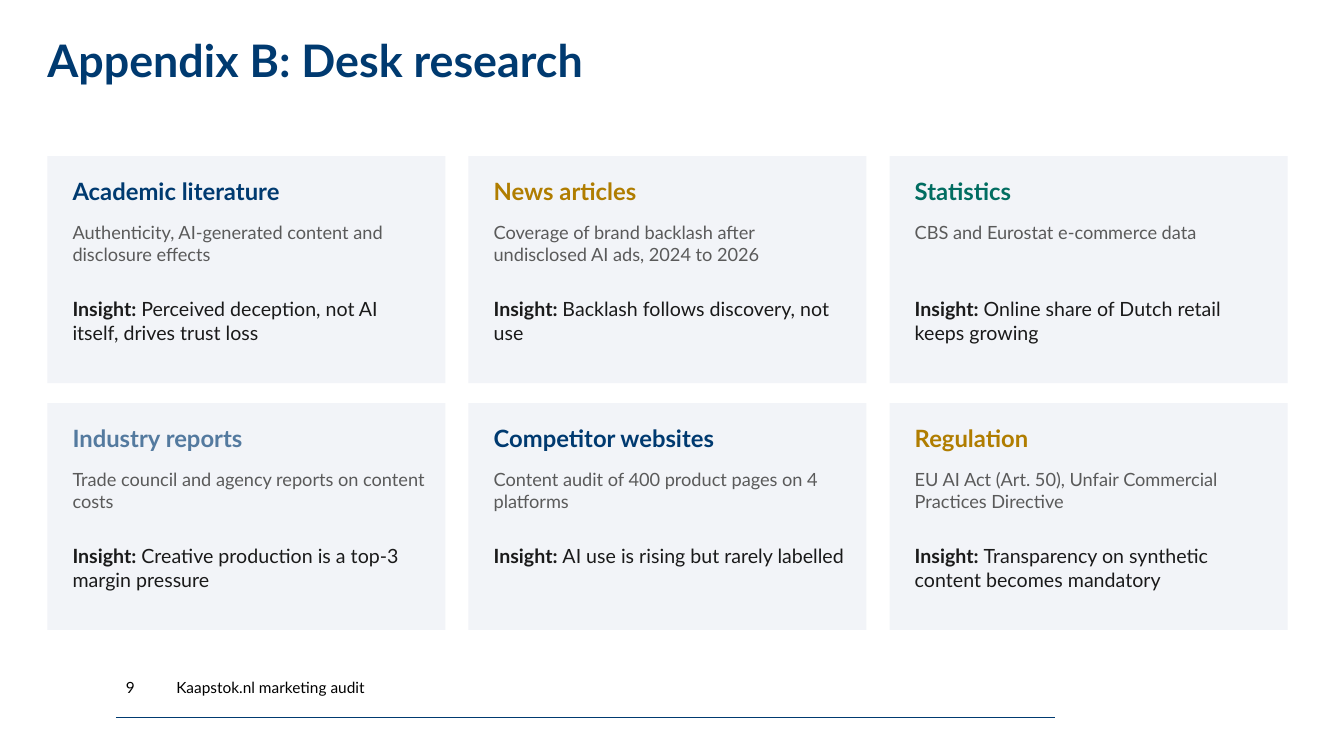
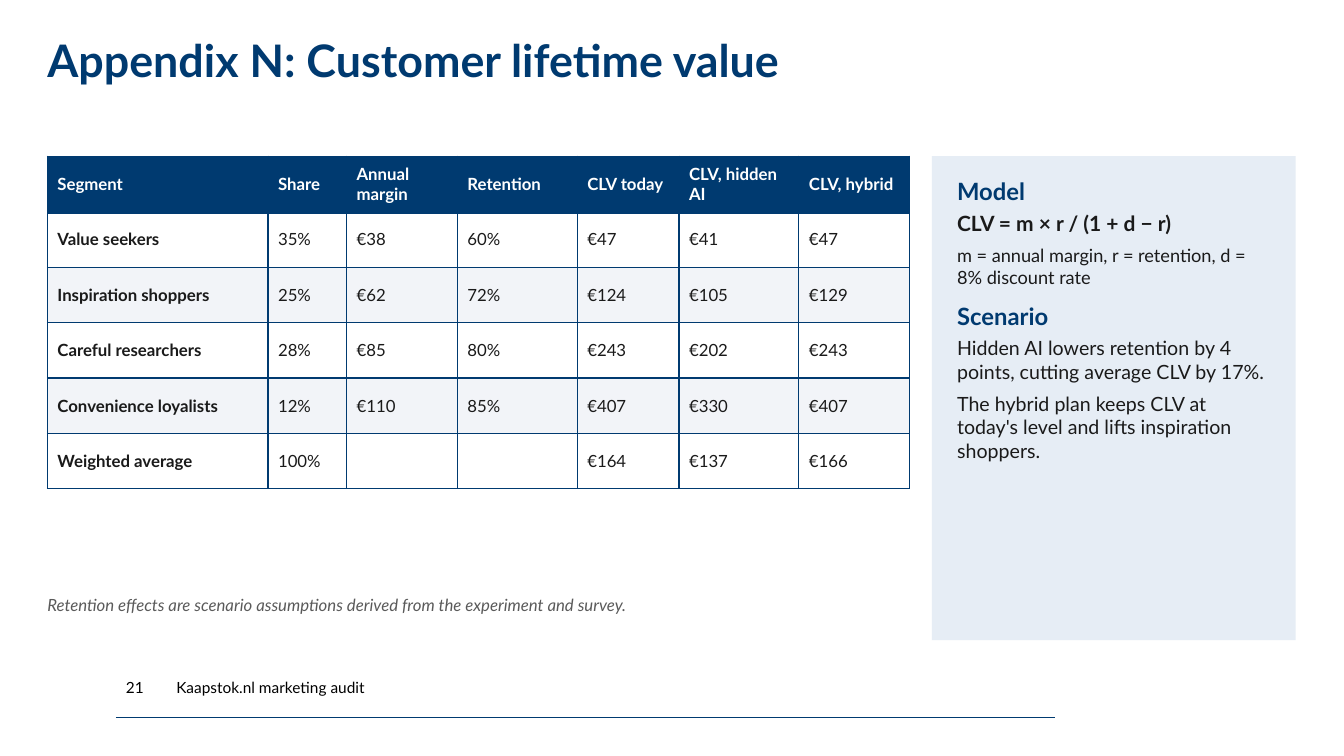
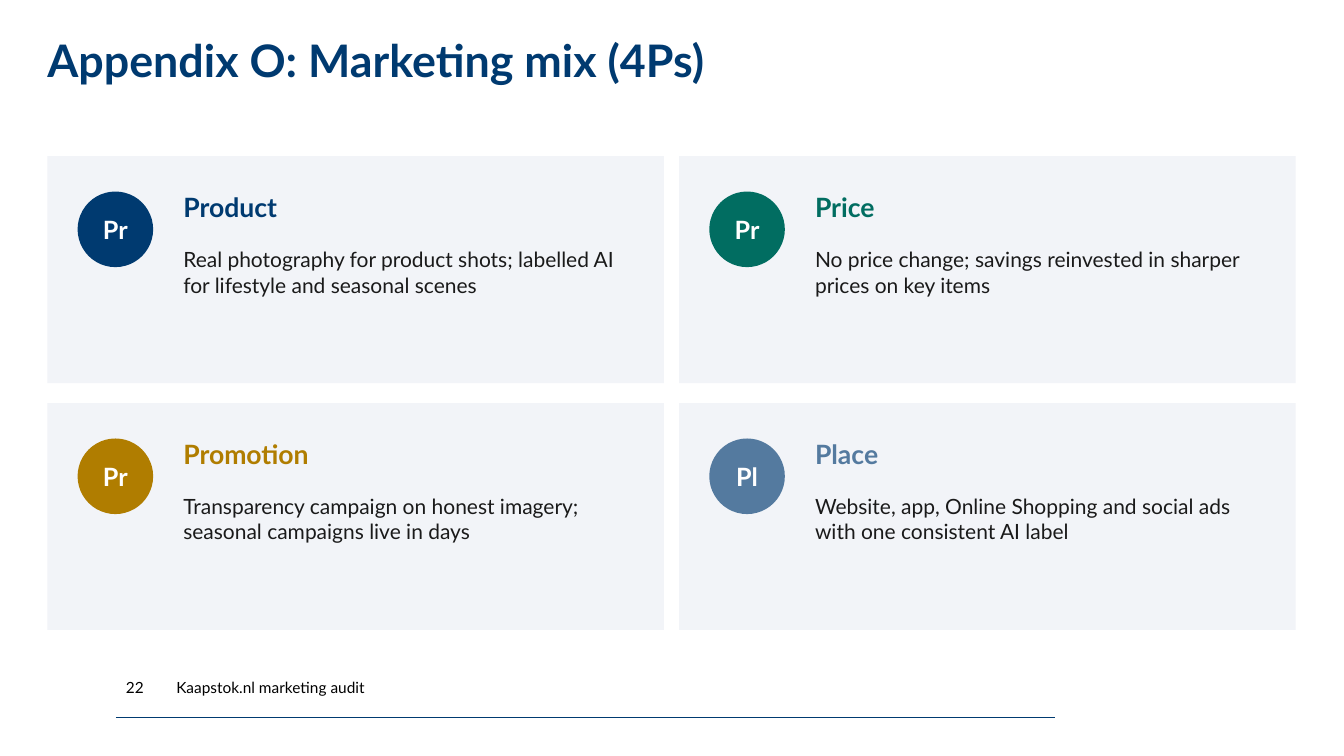
from lxml import etree
from pptx import Presentation
from pptx.dml.color import RGBColor
from pptx.enum import shapes, text
from pptx.oxml.ns import qn
from pptx.util import Inches, Pt

NAVY = RGBColor(0x00, 0x3A, 0x70)
GOLD = RGBColor(0xB0, 0x7D, 0x00)
GREEN = RGBColor(0x01, 0x6D, 0x61)
STEEL = RGBColor(0x54, 0x7A, 0x9F)
INK = RGBColor(0x1A, 0x1A, 0x1A)
GREY = RGBColor(0x5A, 0x5A, 0x5A)
BLACK = RGBColor(0x00, 0x00, 0x00)
WHITE = RGBColor(0xFF, 0xFF, 0xFF)
CARD_FILL = RGBColor(0xF2, 0xF4, 0xF8)
PANEL_FILL = RGBColor(0xE6, 0xED, 0xF5)

FONT = "Lato"
LEFT, TOP = 0.47, 1.55
CARD_HEIGHT, ROW_PITCH = 2.25, 2.45
FOOTER = "Kaapstok.nl marketing audit"

SOURCES = [
    ("Academic literature", NAVY, "Authenticity, AI-generated content and disclosure effects",
     "Perceived deception, not AI itself, drives trust loss"),
    ("News articles", GOLD, "Coverage of brand backlash after undisclosed AI ads, 2024 to 2026",
     "Backlash follows discovery, not use"),
    ("Statistics", GREEN, "CBS and Eurostat e-commerce data",
     "Online share of Dutch retail keeps growing"),
    ("Industry reports", STEEL, "Trade council and agency reports on content costs",
     "Creative production is a top-3 margin pressure"),
    ("Competitor websites", NAVY, "Content audit of 400 product pages on 4 platforms",
     "AI use is rising but rarely labelled"),
    ("Regulation", GOLD, "EU AI Act (Art. 50), Unfair Commercial Practices Directive",
     "Transparency on synthetic content becomes mandatory"),
]

SEGMENTS = [
    ("Segment", "Share", "Annual margin", "Retention", "CLV today", "CLV, hidden AI", "CLV, hybrid"),
    ("Value seekers", "35%", "€38", "60%", "€47", "€41", "€47"),
    ("Inspiration shoppers", "25%", "€62", "72%", "€124", "€105", "€129"),
    ("Careful researchers", "28%", "€85", "80%", "€243", "€202", "€243"),
    ("Convenience loyalists", "12%", "€110", "85%", "€407", "€330", "€407"),
    ("Weighted average", "100%", "", "", "€164", "€137", "€166"),
]
COLUMN_WIDTHS = [2.19, 0.78, 1.1, 1.19, 1.01, 1.19, 1.1]
ROW_HEIGHT = 0.55

MODEL_NOTES = [
    ("Model", 17, NAVY, True, 4),
    ("CLV = m × r / (1 + d − r)", 15, INK, True, 6),
    ("m = annual margin, r = retention, d = 8% discount rate", 13, INK, False, 10),
    ("Scenario", 17, NAVY, True, 4),
    ("Hidden AI lowers retention by 4 points, cutting average CLV by 17%.", 14, INK, False, 6),
    ("The hybrid plan keeps CLV at today's level and lifts inspiration shoppers.", 14, INK, False, 0),
]
TABLE_NOTE = "Retention effects are scenario assumptions derived from the experiment and survey."

MIX = [
    ("Product", NAVY, "Real photography for product shots; labelled AI for lifestyle and seasonal scenes"),
    ("Price", GREEN, "No price change; savings reinvested in sharper prices on key items"),
    ("Promotion", GOLD, "Transparency campaign on honest imagery; seasonal campaigns live in days"),
    ("Place", STEEL, "Website, app, Online Shopping and social ads with one consistent AI label"),
]


def style(run, size, color, bold=False, italic=False):
    font = run.font
    font.name, font.size, font.bold, font.italic = FONT, Pt(size), bold, italic
    font.color.rgb = color


def set_margins(frame, horizontal, vertical):
    frame.margin_left = frame.margin_right = Inches(horizontal)
    frame.margin_top = frame.margin_bottom = Inches(vertical)


def add_text(slide, box, runs, size, color, bold=False, italic=False, middle=False):
    frame = slide.shapes.add_textbox(*map(Inches, box)).text_frame
    frame.word_wrap = True
    set_margins(frame, 0, 0 if middle else 0.05)
    frame.vertical_anchor = text.MSO_ANCHOR.MIDDLE if middle else text.MSO_ANCHOR.TOP
    for index, content in enumerate(runs):
        run = frame.paragraphs[0].add_run()
        run.text = content
        style(run, size, color, bold or index < len(runs) - 1, italic)


def add_block(slide, kind, box, color):
    shape = slide.shapes.add_shape(kind, *map(Inches, box))
    shape.shadow.inherit = False
    shape.fill.solid()
    shape.fill.fore_color.rgb = color
    shape.line.fill.background()
    return shape


def add_cards(slide, count, columns, width, pitch):
    for index in range(count):
        row, column = divmod(index, columns)
        x, y = LEFT + column * pitch, TOP + row * ROW_PITCH
        add_block(slide, shapes.MSO_SHAPE.RECTANGLE, (x, y, width, CARD_HEIGHT), CARD_FILL)
        yield x, y


def add_footer_rule(slide, layout):
    rule = slide.shapes.add_connector(shapes.MSO_CONNECTOR.STRAIGHT,
                                      Inches(1.15), Inches(7.12), Inches(10.47), Inches(7.12))
    rule.line.color.rgb = NAVY
    rule.line.width = Pt(0.5)
    etree.SubElement(rule.element.spPr, qn("a:effectLst"))
    layout.shapes.element.append(rule.element)


def add_slide(presentation, layout, heading, number):
    slide = presentation.slides.add_slide(layout)
    title = slide.shapes.title
    title.left, title.top, title.width, title.height = map(Inches, (LEFT, 0, 12.39, 1.25))
    frame = title.text_frame
    frame.text = heading
    frame.word_wrap = True
    frame.auto_size = text.MSO_AUTO_SIZE.NONE
    frame.vertical_anchor = text.MSO_ANCHOR.MIDDLE
    set_margins(frame, 0, 0)
    paragraph = frame.paragraphs[0]
    paragraph.alignment = text.PP_ALIGN.LEFT
    paragraph.line_spacing = 0.9
    style(paragraph.runs[0], 32, NAVY, True)
    add_text(slide, (1.75, 6.62, 4, 0.4), [FOOTER], 11, BLACK, middle=True)
    add_text(slide, (1.25, 6.62, 0.5, 0.4), [str(number)], 11, BLACK, middle=True)
    return slide


def add_borders(cell, bottom_width):
    properties = cell._tc.get_or_add_tcPr()
    for side, width in (("L", 1), ("R", 1), ("T", 1), ("B", bottom_width)):
        line = etree.SubElement(properties, qn("a:ln" + side), w=str(Pt(width)))
        fill = etree.SubElement(line, qn("a:solidFill"))
        etree.SubElement(fill, qn("a:srgbClr"), val=str(NAVY))


def fill_research(slide):
    cards = add_cards(slide, len(SOURCES), 3, 3.95, 4.18)
    for (name, color, scope, insight), (x, y) in zip(SOURCES, cards):
        add_text(slide, (x + 0.25, y + 0.15, 3.5, 0.45), [name], 17, color, bold=True)
        add_text(slide, (x + 0.25, y + 0.6, 3.5, 0.8), [scope], 13, GREY)
        add_text(slide, (x + 0.25, y + 1.35, 3.5, 0.85), ["Insight: ", insight], 14, INK)


def fill_lifetime_value(slide):
    table = slide.shapes.add_table(
        len(SEGMENTS), len(COLUMN_WIDTHS), Inches(LEFT), Inches(TOP),
        Inches(sum(COLUMN_WIDTHS)), Inches(ROW_HEIGHT * len(SEGMENTS))).table
    for column, width in zip(table.columns, COLUMN_WIDTHS):
        column.width = Inches(width)
    for row, values in enumerate(SEGMENTS):
        header = row == 0
        table.rows[row].height = Inches(ROW_HEIGHT)
        for column, value in enumerate(values):
            cell = table.cell(row, column)
            cell.vertical_anchor = text.MSO_ANCHOR.MIDDLE
            add_borders(cell, 3 if header else 1)
            cell.fill.solid()
            cell.fill.fore_color.rgb = NAVY if header else WHITE if row % 2 else CARD_FILL
            cell.text = value
            for run in cell.text_frame.paragraphs[0].runs:
                style(run, 12, WHITE if header else INK, header or column == 0)

    panel = add_block(slide, shapes.MSO_SHAPE.RECTANGLE, (9.25, TOP, 3.61, 4.8), PANEL_FILL)
    frame = panel.text_frame
    frame.word_wrap = True
    frame.vertical_anchor = text.MSO_ANCHOR.TOP
    set_margins(frame, 0.25, 0.2)
    frame.text = "\n".join(note[0] for note in MODEL_NOTES)
    for paragraph, (_, size, color, bold, after) in zip(frame.paragraphs, MODEL_NOTES):
        paragraph.alignment = text.PP_ALIGN.LEFT
        paragraph.space_after = Pt(after)
        style(paragraph.runs[0], size, color, bold)
    add_text(slide, (LEFT, 5.85, 8.4, 0.5), [TABLE_NOTE], 12, GREY, italic=True)


def fill_mix(slide):
    cards = add_cards(slide, len(MIX), 2, 6.12, 6.27)
    for (name, color, action), (x, y) in zip(MIX, cards):
        badge = add_block(slide, shapes.MSO_SHAPE.OVAL, (x + 0.3, y + 0.35, 0.75, 0.75), color)
        frame = badge.text_frame
        frame.text = name[:2]
        frame.vertical_anchor = text.MSO_ANCHOR.MIDDLE
        set_margins(frame, 0.02, 0.02)
        frame.paragraphs[0].alignment = text.PP_ALIGN.CENTER
        style(frame.paragraphs[0].runs[0], 18, WHITE, True)
        add_text(slide, (x + 1.35, y + 0.3, 4.5, 0.5), [name], 19, color, bold=True)
        add_text(slide, (x + 1.35, y + 0.85, 4.5, 1.3), [action], 15, INK)


SLIDES = [
    ("Appendix B: Desk research", 9, fill_research),
    ("Appendix N: Customer lifetime value", 21, fill_lifetime_value),
    ("Appendix O: Marketing mix (4Ps)", 22, fill_mix),
]


def main():
    presentation = Presentation()
    presentation.slide_width, presentation.slide_height = Inches(13.34), Inches(7.5)
    layout = presentation.slide_layouts[5]
    for heading, number, fill_content in SLIDES:
        fill_content(add_slide(presentation, layout, heading, number))
    add_footer_rule(presentation.slides[0], layout)
    presentation.save("out.pptx")


if __name__ == "__main__":
    main()
